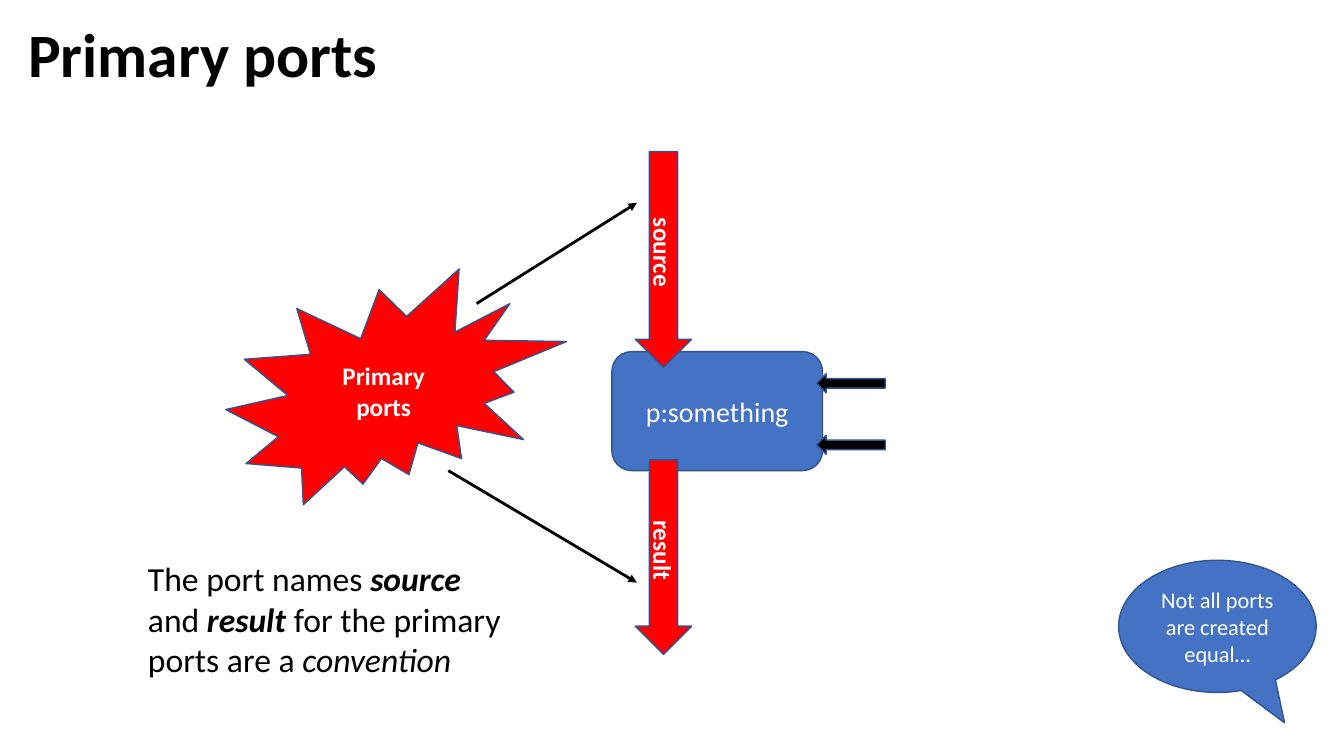
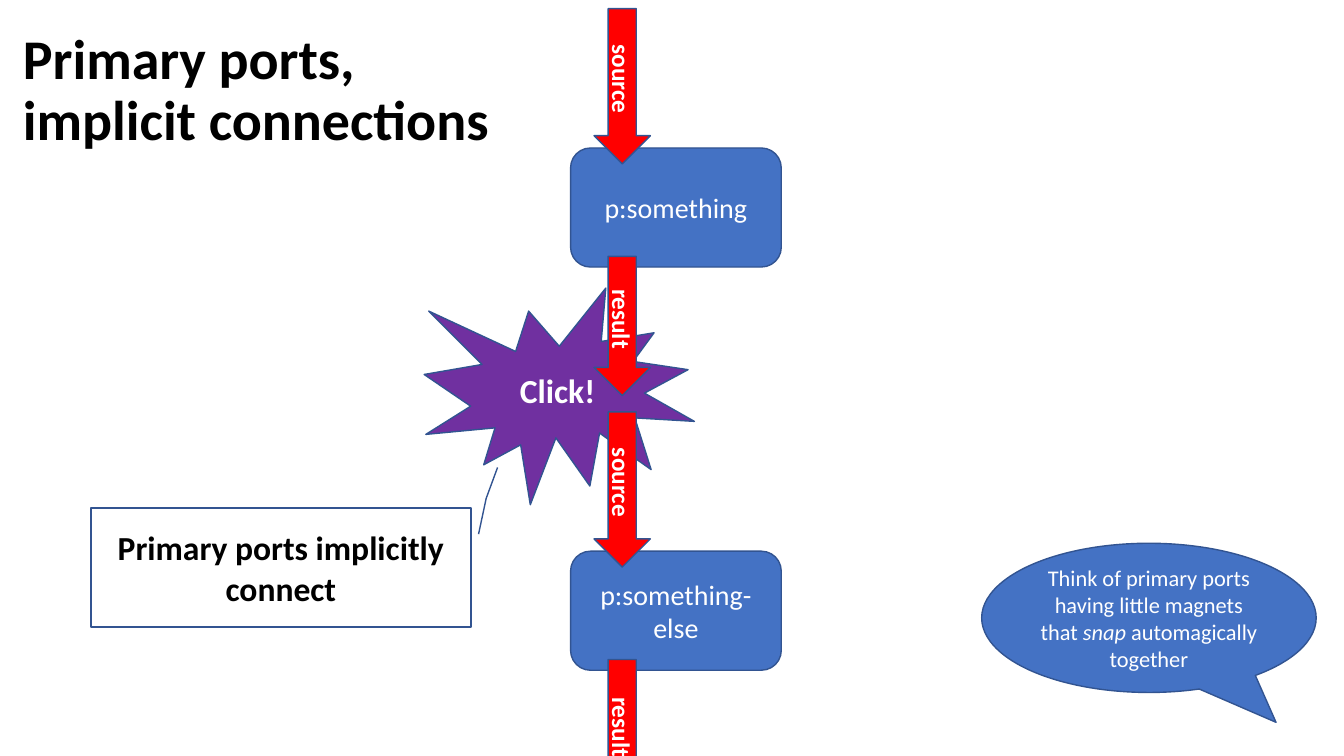
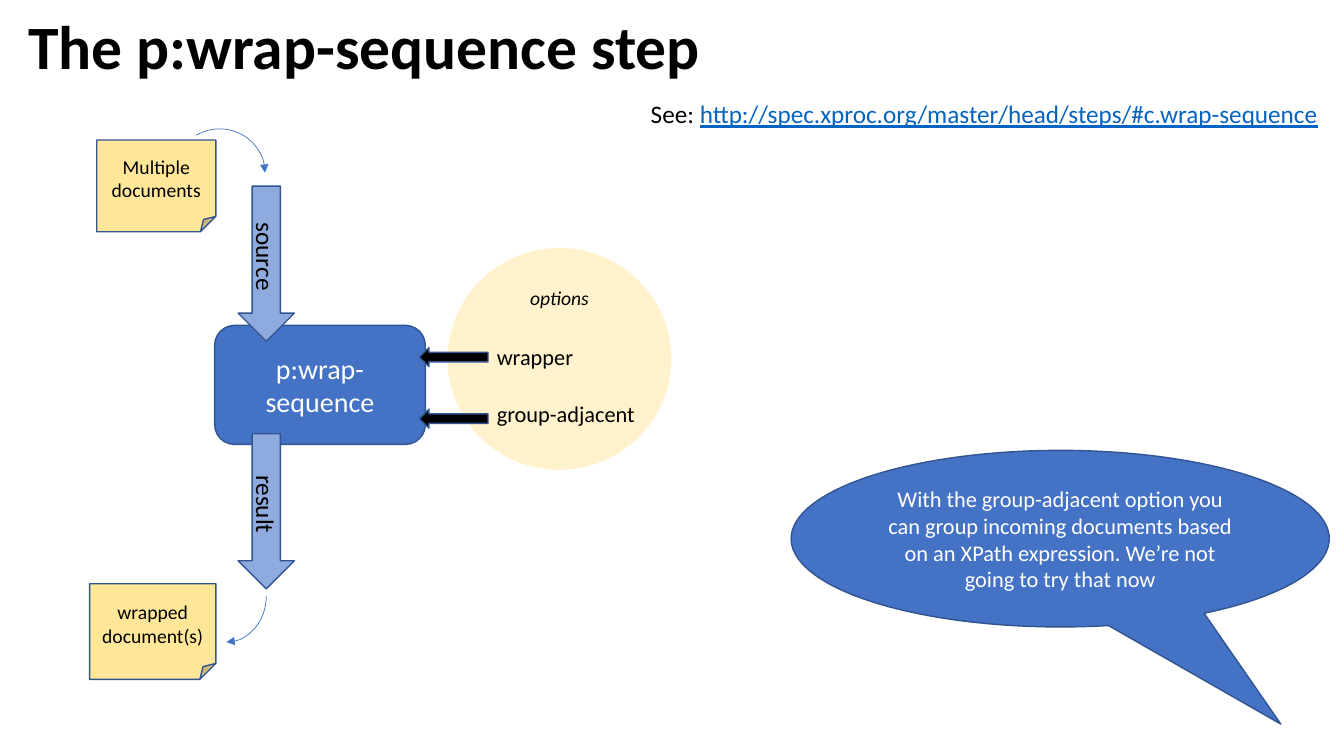
from dataclasses import dataclass

from lxml import etree
from pptx import Presentation
from pptx.dml.color import RGBColor
from pptx.enum.shapes import MSO_CONNECTOR, MSO_SHAPE
from pptx.enum.text import MSO_ANCHOR, PP_ALIGN
from pptx.oxml.ns import qn
from pptx.util import Cm, Pt

STRAIGHT = MSO_CONNECTOR.STRAIGHT
ROUNDED, OVAL, ARC = MSO_SHAPE.ROUNDED_RECTANGLE, MSO_SHAPE.OVAL, MSO_SHAPE.ARC
RIGHT_ARROW, LEFT_ARROW = MSO_SHAPE.RIGHT_ARROW, MSO_SHAPE.LEFT_ARROW
BURST_SMALL, BURST_LARGE = MSO_SHAPE.EXPLOSION1, MSO_SHAPE.EXPLOSION2
BUBBLE, LINE_CALLOUT = MSO_SHAPE.OVAL_CALLOUT, MSO_SHAPE.LINE_CALLOUT_2
NOTE_SHEET = MSO_SHAPE.FOLDED_CORNER
TOP, MIDDLE = MSO_ANCHOR.TOP, MSO_ANCHOR.MIDDLE
LEFT, CENTER = PP_ALIGN.LEFT, PP_ALIGN.CENTER


@dataclass(frozen=True)
class Theme:
    font: str = "Calibri"
    black: RGBColor = RGBColor(0x00, 0x00, 0x00)
    white: RGBColor = RGBColor(0xFF, 0xFF, 0xFF)
    blue: RGBColor = RGBColor(0x44, 0x72, 0xC4)
    outline: RGBColor = RGBColor(0x32, 0x54, 0x91)
    light_blue: RGBColor = RGBColor(0x8F, 0xAA, 0xDC)
    red: RGBColor = RGBColor(0xFF, 0x00, 0x00)
    purple: RGBColor = RGBColor(0x70, 0x30, 0xA0)
    sheet: RGBColor = RGBColor(0xFF, 0xE6, 0x99)
    cream: RGBColor = RGBColor(0xFF, 0xF2, 0xCC)
    link: RGBColor = RGBColor(0x05, 0x63, 0xC1)
    title: int = 44
    long_title: int = 40
    body: int = 24
    step: int = 20
    port: int = 18
    small: int = 16
    tiny: int = 14


@dataclass(frozen=True)
class Box:
    """A rectangle in centimetres."""
    left: float
    top: float
    width: float
    height: float

    def lengths(self):
        return Cm(self.left), Cm(self.top), Cm(self.width), Cm(self.height)


THEME = Theme()
STEP_WIDTH, STEP_HEIGHT = 5.31, 3.0


# Shared building blocks

def write(shape, content, size, color, align=CENTER, anchor=MIDDLE, style=""):
    """Content is a string or (text, style) spans; style letters are b, i, u."""
    frame = shape.text_frame
    frame.word_wrap = True
    frame.vertical_anchor = anchor
    para = frame.paragraphs[0]
    para.alignment = align
    styles = [style]
    if isinstance(content, str):
        para.text = content
    else:
        styles = [span_style for _, span_style in content]
        for text, _ in content:
            para.add_run().text = text
    for index, span in enumerate(para.runs):
        letters = styles[min(index, len(styles) - 1)]
        font = span.font
        font.name, font.size = THEME.font, Pt(size)
        font.bold, font.italic = "b" in letters, "i" in letters
        font.underline = "u" in letters
        font.color.rgb = THEME.link if "u" in letters else color
    return para


def add_figure(page, kind, box, fill, outline=THEME.outline, adjust=()):
    shape = page.shapes.add_shape(kind, *box.lengths())
    shape.shadow.inherit = False
    if fill is None:
        shape.fill.background()
    else:
        shape.fill.solid()
        shape.fill.fore_color.rgb = fill
    if outline is None:
        shape.line.fill.background()
    else:
        shape.line.color.rgb = outline
        shape.line.width = Pt(1)
    for index, value in enumerate(adjust):
        shape.adjustments[index] = value
    return shape


def add_text(page, box, content, size, anchor=TOP, style=""):
    text_box = page.shapes.add_textbox(*box.lengths())
    return write(text_box, content, size, THEME.black, LEFT, anchor, style)


def add_title(page, box, text, size=THEME.title):
    add_text(page, box, text, size, MIDDLE, "b").line_spacing = 0.9


def point_end(shape):
    line = shape.element.spPr.find(qn("a:ln"))
    etree.SubElement(line, qn("a:tailEnd"), type="triangle")


def add_pointer(page, start, end):
    pointer = page.shapes.add_connector(STRAIGHT, *map(Cm, start + end))
    pointer.line.color.rgb = THEME.black
    pointer.line.width = Pt(2)
    point_end(pointer)
    etree.SubElement(pointer.element.spPr, qn("a:effectLst"))


def add_arc(page, box, start, end):
    """Angles are in degrees, clockwise from the right."""
    arc = add_figure(page, ARC, box, None, THEME.blue,
                     [angle * 0.6 for angle in (start, end)])
    arc.line.width = Pt(0.5)
    point_end(arc)


def add_bubble(page, box, content, tip):
    bubble = add_figure(page, BUBBLE, box, THEME.blue, adjust=tip)
    write(bubble, content, THEME.small, THEME.white)


def add_sheet(page, box, text):
    write(add_figure(page, NOTE_SHEET, box, THEME.sheet), text, THEME.tiny, THEME.black)


# Step with its primary ports and its options

def add_port(page, center, top, length, text, fill, color, style):
    """A downward arrow: a right arrow turned about its centre."""
    thickness = 1.42
    box = Box(center - length / 2, top + (length - thickness) / 2, length, thickness)
    arrow = add_figure(page, RIGHT_ARROW, box, fill)
    arrow.rotation = 90
    write(arrow, text, THEME.port, color, style=style)


def add_step(page, box, name, source_length, result_length,
             port_look=(THEME.red, THEME.white, "b")):
    write(add_figure(page, ROUNDED, box, THEME.blue), name, THEME.step, THEME.white)
    center = box.left + 1.3
    source_top = box.top + 0.4 - source_length
    result_top = box.top + box.height - 0.27
    add_port(page, center, source_top, source_length, "source", *port_look)
    add_port(page, center, result_top, result_length, "result", *port_look)


def add_options(page, step, names=()):
    for row in range(2):
        arrow = Box(step.left + 5.16, step.top + 0.56 + row * 1.55, 1.73, 0.48)
        add_figure(page, LEFT_ARROW, arrow, THEME.black)
    for row, name in enumerate(names):
        label = Box(step.left + 6.86, step.top + 0.31 + row * 1.45, 5.18, 0.94)
        add_text(page, label, name, THEME.small)


# Slides

def build_primary_ports(page):
    add_title(page, Box(0.46, 0.48, 17.98, 1.96), "Primary ports")
    step = Box(15.42, 8.86, STEP_WIDTH, STEP_HEIGHT)
    add_step(page, step, "p:something", 5.44, 4.9)
    add_options(page, step)

    # Burst pointing at both ports
    burst = add_figure(page, BURST_LARGE, Box(5.69, 6.78, 8.59, 5.94), THEME.red)
    write(burst, "Primary ports", THEME.port, THEME.white, style="b")
    add_pointer(page, (12.01, 7.65), (16.05, 5.11))
    add_pointer(page, (11.3, 11.86), (16.05, 14.68))

    add_text(page, Box(3.48, 13.94, 9.73, 3.33), [
        ("The port names ", ""), ("source", "bi"), (" and ", ""), ("result", "bi"),
        (" for the primary ports are a ", ""), ("convention", "i")], THEME.body)
    add_bubble(page, Box(28.19, 14.12, 4.98, 3.33),
               "Not all ports are created equal…", (0.34, 0.73))


def build_implicit_connections(page):
    burst = add_figure(page, BURST_SMALL, Box(10.69, 7.26, 6.81, 5.46), THEME.purple)
    write(burst, "Click!", THEME.body, THEME.white, style="b")
    add_title(page, Box(0.33, 0.64, 14.48, 3.35),
              "Primary ports,\vimplicit connections", THEME.long_title)

    # Chain of two steps
    for top, name, result_length in ((3.73, "p:something", 3.51),
                                     (13.89, "p:something-else", 3.76)):
        step = Box(14.38, top, STEP_WIDTH, STEP_HEIGHT)
        add_step(page, step, name, 3.91, result_length)

    callout = add_figure(page, LINE_CALLOUT, Box(2.29, 12.8, 9.58, 3.0), THEME.white,
                         adjust=(0.22, 1.02, -0.08, 1.04, -0.34, 1.07))
    write(callout, "Primary ports implicitly connect", THEME.body, THEME.black, style="b")
    add_bubble(page, Box(24.74, 13.69, 8.43, 3.76), [
        ("Think of primary ports having little magnets that ", ""),
        ("snap", "i"), (" automagically together", "")], (0.38, 0.7))


def build_wrap_sequence(page):
    # Options circle, behind the step
    circle = add_figure(page, OVAL, Box(11.28, 6.25, 5.64, 5.59), THEME.cream, None)
    write(circle, "options", THEME.tiny, THEME.black, anchor=TOP, style="i")
    add_title(page, Box(0.46, 0.28, 19, 1.96), "The p:wrap-sequence step")
    step = Box(5.41, 8.2, STEP_WIDTH, STEP_HEIGHT)
    add_step(page, step, "p:wrap-sequence", 3.91, 3.91,
             (THEME.light_blue, THEME.black, ""))
    add_options(page, step, ("wrapper", "group-adjacent"))

    # Documents going in and out
    add_sheet(page, Box(2.44, 3.53, 3.0, 2.31), "Multiple documents")
    add_arc(page, Box(4.39, 3.25, 2.29, 2.21), 238, 0)
    add_sheet(page, Box(2.26, 14.71, 3.18, 2.41), "wrapped document(s)")
    add_arc(page, Box(4.7, 13.87, 2.01, 2.31), 0, 90)

    add_bubble(page, Box(19.94, 11.35, 13.56, 4.45),
               "With the group-adjacent option you can group incoming documents based "
               "on an XPath expression. We’re not going to try that now", (0.41, 1.05))
    add_text(page, Box(16.15, 2.36, 17.7, 2.57), [
        ("See: ", ""),
        ("http://spec.xproc.org/master/head/steps/#c.wrap-sequence", "u")], THEME.port)


def main():
    deck = Presentation()
    deck.slide_width, deck.slide_height = Cm(33.87), Cm(19.05)
    blank = deck.slide_layouts[6]
    for build in (build_primary_ports, build_implicit_connections, build_wrap_sequence):
        build(deck.slides.add_slide(blank))
    deck.save("out.pptx")


if __name__ == "__main__":
    main()
